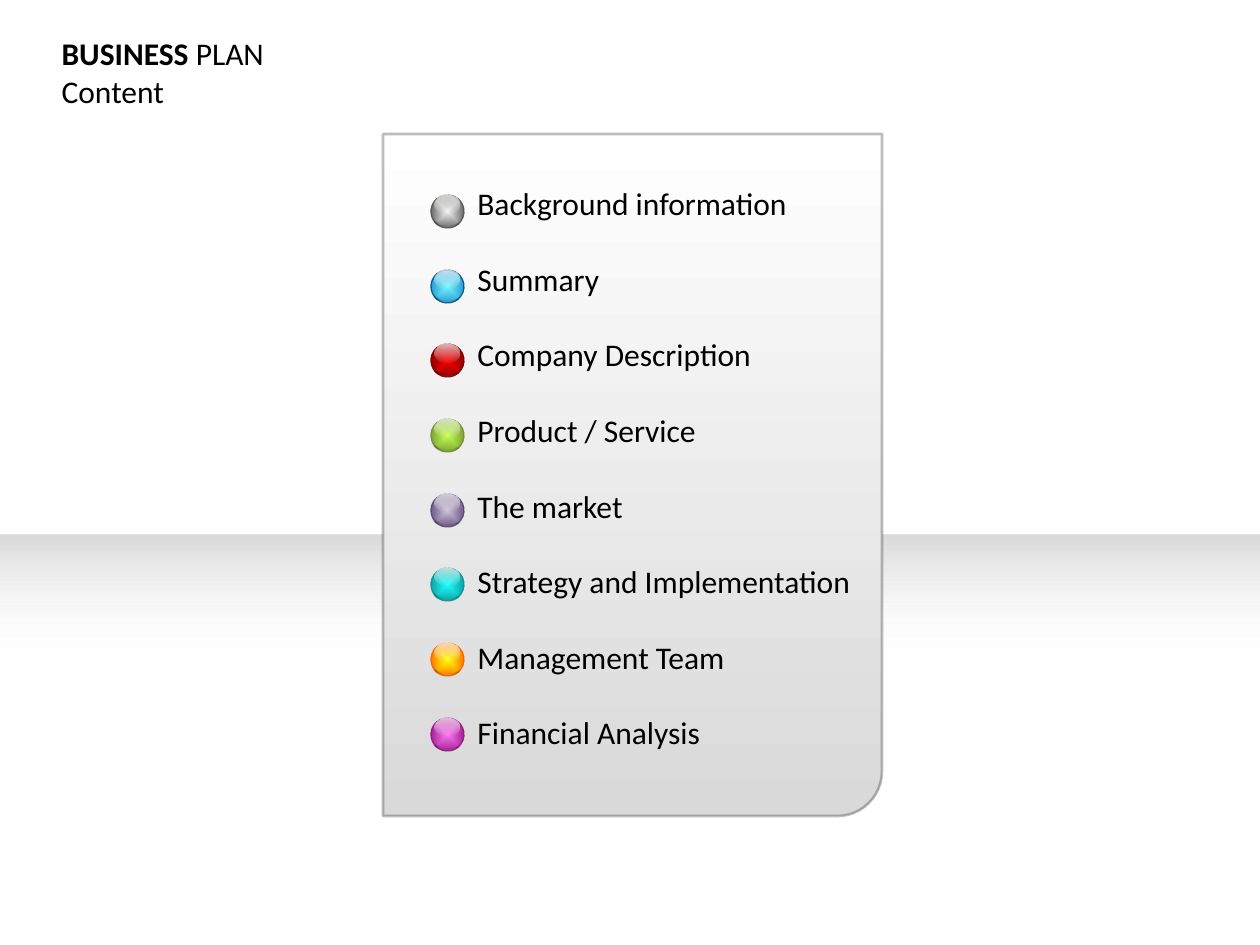
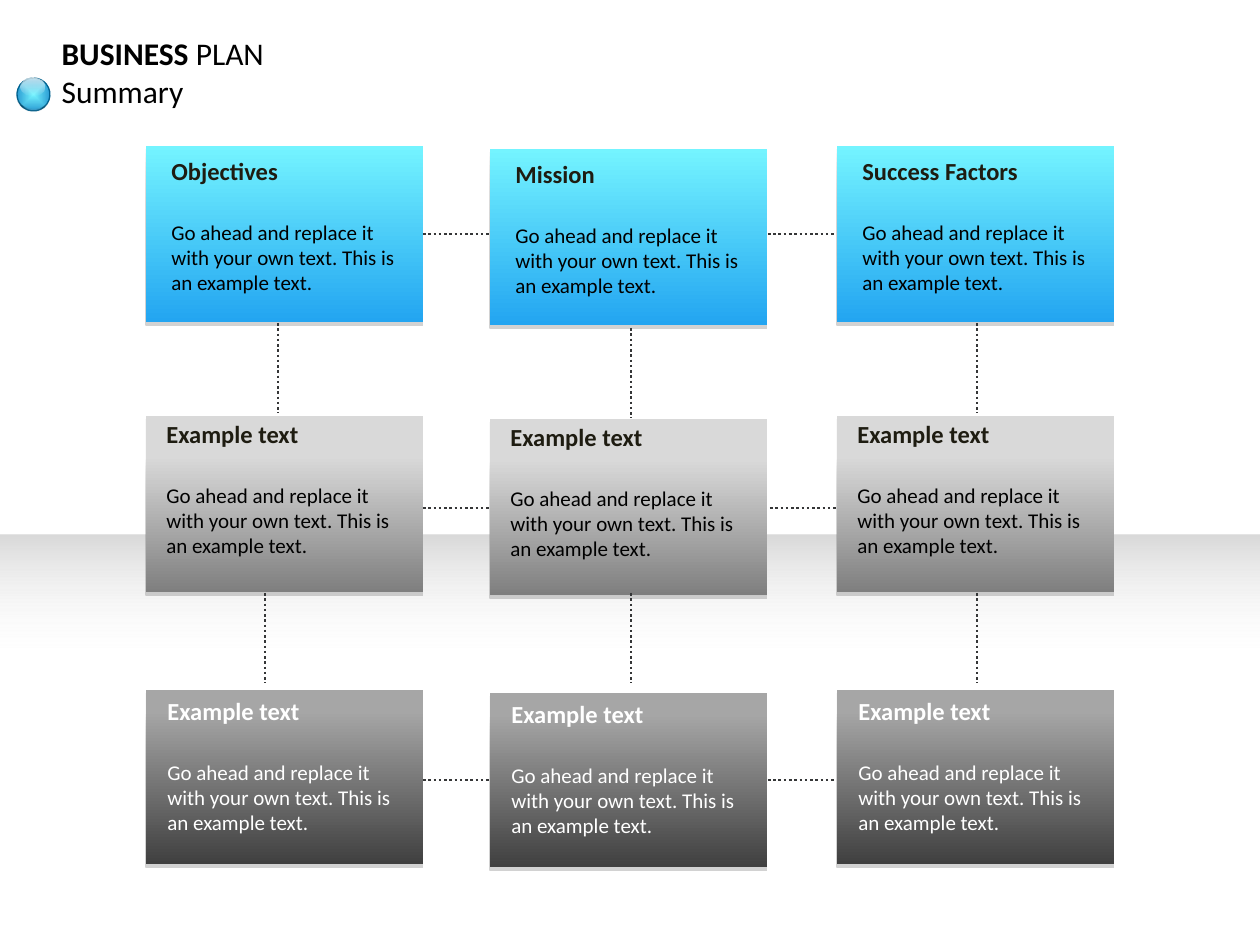
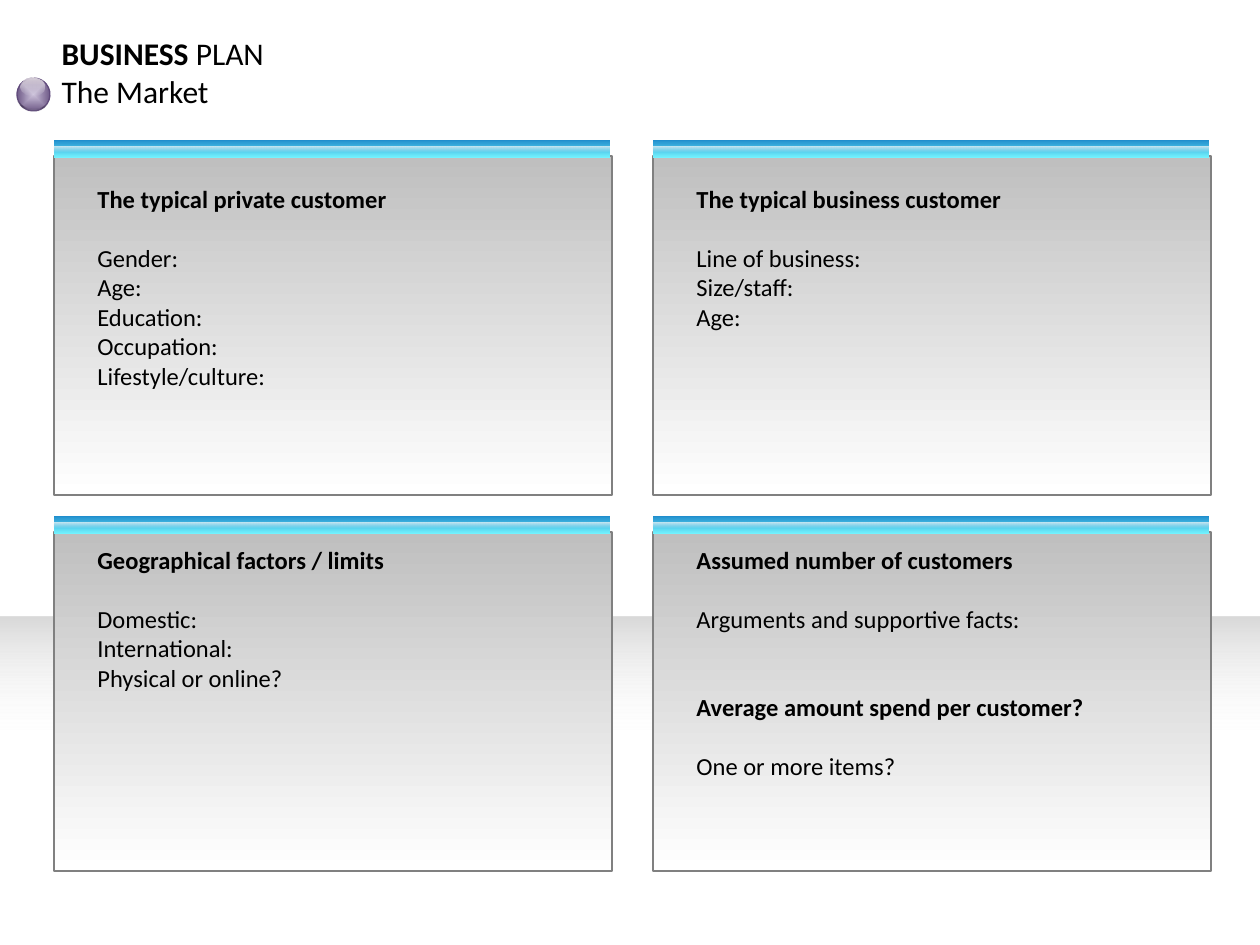
import pptx
import pptx.util
import pptx.dml.color
import pptx.enum.dml
import pptx.enum.shapes
import pptx.enum.text
import pptx.oxml
import pptx.oxml.ns

SCALE = 914400 / 126  # EMU in one pixel
FONT = "Calibri"
COLOURS = {
    "black": "000000", "white": "FFFFFF", "heading": "1E1C11",
    "band": "D9D9D9", "silver": "BFBFBF", "frame": "808080", "edge": "262626",
    "dots": "353637", "cyan": "74F4FF", "sky": "23A5F1", "bar": "208ECD",
    "gloss": "FFFCF9", "bar gloss": "F3F3F3", "grey": "7F7F7F",
    "mid grey": "A6A6A6", "dark grey": "404040",
}
# Centre, rim and outline of each ball
BALLS = {
    "Background information": ("F2F2F2", "595959", "595959"),
    "Summary": ("74F4FF", "208ECD", "00618E"),
    "Company Description": ("FF0000", "800000", "800000"),
    "Product / Service": ("C0FF4D", "769535", "769535"),
    "The market": ("CCC1DA", "604A7B", "604A7B"),
    "Strategy and Implementation": ("1DFDFF", "0C9799", "0C9799"),
    "Management Team": ("FFFF00", "FF6600", "FF6600"),
    "Financial Analysis": ("FB75F2", "991887", "991887"),
}
SHAPE = pptx.enum.shapes.MSO_SHAPE
GROW = pptx.enum.text.MSO_AUTO_SIZE.SHAPE_TO_FIT_TEXT
NAMESPACE = pptx.oxml.ns.nsdecls("a")


def add_gradient_shape(shapes, kind, box, stops, angle=None, line=None, width=0.75, rotation=0):
    """Stops are (percent, colour, opacity); without an angle the gradient runs from the centre."""
    shape = shapes.add_shape(kind, *[round(value * SCALE) for value in box])
    shape.shadow.inherit = False
    shape.rotation = rotation
    stop_xml = "".join(
        f'<a:gs pos="{position * 1000}"><a:srgbClr val="{COLOURS.get(colour, colour)}">'
        f'<a:alpha val="{opacity * 1000}"/></a:srgbClr></a:gs>'
        for position, colour, opacity in stops)
    direction = (
        '<a:path path="shape"><a:fillToRect l="50000" t="50000" r="50000" b="50000"/></a:path>'
        if angle is None else f'<a:lin ang="{angle * 60000}" scaled="0"/>')
    shape.fill.background()
    properties = shape.element.spPr
    properties.replace(properties.find(pptx.oxml.ns.qn("a:noFill")), pptx.oxml.parse_xml(
        f'<a:gradFill {NAMESPACE} rotWithShape="1"><a:gsLst>{stop_xml}</a:gsLst>{direction}</a:gradFill>'))
    if line:
        shape.line.color.rgb = pptx.dml.color.RGBColor.from_string(COLOURS.get(line, line))
        shape.line.width = pptx.util.Pt(width)
    else:
        shape.line.fill.background()
    return shape


def add_text(frame, text, size=18, bold=False, colour="black", gap=0, new_paragraph=True):
    """Gap is the space above, as the point size of the line it stands for."""
    frame.word_wrap = True
    frame.auto_size = GROW
    paragraph = frame.paragraphs[-1]
    if new_paragraph and paragraph.runs:
        paragraph = frame.add_paragraph()
    paragraph.alignment = pptx.enum.text.PP_ALIGN.LEFT
    if gap:
        paragraph.space_before = pptx.util.Pt(round(gap * 1.2, 1))
    run = paragraph.add_run()
    run.text = text
    run.font.name = FONT
    run.font.size = pptx.util.Pt(size)
    run.font.bold = bold
    run.font.color.rgb = pptx.dml.color.RGBColor.from_string(COLOURS[colour])


presentation = pptx.Presentation()
presentation.slide_width = round(1260 * SCALE)
presentation.slide_height = round(945 * SCALE)

# Shared band and title
slides = []
for subtitle, band_top in (("Content", 535), ("Summary", 535), ("The Market", 617)):
    slide = presentation.slides.add_slide(presentation.slide_layouts[5])
    slides.append(slide)
    add_gradient_shape(slide.shapes, SHAPE.RECTANGLE, (0, band_top, 1260, 328),
                       [(61, "white", 0), (100, "band", 100)], 270)
    title = slide.shapes.title
    title.left, title.top, title.width, title.height = [
        round(value * SCALE) for value in (49, 28, 236, 89)]
    title.text_frame.vertical_anchor = pptx.enum.text.MSO_ANCHOR.TOP
    add_text(title.text_frame, "BUSINESS", bold=True)
    add_text(title.text_frame, " PLAN", new_paragraph=False)
    add_text(title.text_frame, subtitle)
content, summary, market = slides

# Content: panel and list
panel = add_gradient_shape(content.shapes, SHAPE.ROUND_1_RECTANGLE, (383, 134, 499, 682),
                           [(0, "white", 100), (100, "band", 100)], 270, "edge", 1.5, 180)
panel.adjustments[0] = 0.09
panel.element.spPr.xfrm.set("flipH", "1")
line_colour = panel.line._ln.find(".//" + pptx.oxml.ns.qn("a:srgbClr"))
line_colour.append(pptx.oxml.parse_xml(f'<a:alpha {NAMESPACE} val="30000"/>'))
list_box = content.shapes.add_textbox(*[round(value * SCALE) for value in (465, 178, 413, 586)])
for number, topic in enumerate(BALLS):
    add_text(list_box.text_frame, topic, gap=18 if number else 0)

# Summary: three by three boxes
EXAMPLE = "Go ahead and replace it with your own text. This is an example text."
rows = [
    # top, height, text offset, stops, heading colour, body colour, headings
    (146, 176, (13, 4), [(0, "cyan", 100), (100, "sky", 100)],
     "heading", "black", ("Objectives", "Mission", "Success Factors")),
    (416, 176, (8, -3), [(0, "band", 100), (23, "band", 100), (100, "grey", 100)],
     "heading", "black", ("Example text",) * 3),
    (690, 174, (9, 0), [(0, "mid grey", 100), (12, "mid grey", 100), (100, "dark grey", 100)],
     "white", "white", ("Example text",) * 3),
]
for row_top, height, (text_x, text_y), stops, heading_colour, body_colour, headings in rows:
    for left, drop, heading in zip((146, 490, 837), (0, 3, 0), headings):
        top = row_top + drop
        card = add_gradient_shape(summary.shapes, SHAPE.RECTANGLE, (left, top, 277, height), stops, 90)
        effects = card.element.spPr.find(pptx.oxml.ns.qn("a:effectLst"))
        effects.append(pptx.oxml.parse_xml(
            f'<a:outerShdw {NAMESPACE} blurRad="0" dist="22860" dir="5400000" rotWithShape="0">'
            f'<a:srgbClr val="{COLOURS["frame"]}"><a:alpha val="35000"/></a:srgbClr></a:outerShdw>'))
        card_text = summary.shapes.add_textbox(
            *[round(value * SCALE) for value in (left + text_x, top + text_y, 253, 156)])
        add_text(card_text.text_frame, heading, 14, True, heading_colour)
        add_text(card_text.text_frame, EXAMPLE, 12, colour=body_colour, gap=16)

# Summary: dotted links, across and down
links = []
for y, right_start in ((234, 768), (508, 770), (780, 768)):
    links += [(423, y, 490, y), (right_start, y, right_start + 66, y)]
for x, top in ((278, 323), (631, 328), (977, 323), (265, 593), (631, 593), (977, 593)):
    links.append((x, top, x, top + 90))
for ends in links:
    link = summary.shapes.add_connector(pptx.enum.shapes.MSO_CONNECTOR.STRAIGHT,
                                        *[round(value * SCALE) for value in ends])
    link.line.color.rgb = pptx.dml.color.RGBColor.from_string(COLOURS["dots"])
    link.line.width = pptx.util.Pt(1.5)
    link.line.dash_style = pptx.enum.dml.MSO_LINE.ROUND_DOT
    link.element.spPr.append(pptx.oxml.parse_xml(f"<a:effectLst {NAMESPACE}/>"))

# Market: two by two panels; each line is text, bold, gap above
panels = [
    (38, 251, [("The typical private customer", True, 0), ("Gender:", False, 14), ("Age:", False, 0),
               ("Education:", False, 0), ("Occupation:", False, 0), ("Lifestyle/culture:", False, 0)]),
    (38, 220, [("The typical business customer", True, 0), ("Line of business:", False, 14),
               ("Size/staff:", False, 0), ("Age:", False, 0)]),
    (23, 161, [("Geographical factors / limits", True, 0), ("Domestic:", False, 14),
               ("International:", False, 0), ("Physical or online?", False, 0)]),
    (23, 280, [("Assumed number of customers", True, 0), ("Arguments and supportive facts:", False, 14),
               ("Average amount spend per customer?", True, 28), ("One or more items?", False, 14)]),
]
for number, (text_y, text_height, lines) in enumerate(panels):
    left = 54 + number % 2 * 599
    top = 140 + number // 2 * 376
    group = market.shapes.add_group_shape()
    add_gradient_shape(group.shapes, SHAPE.RECTANGLE, (left, top + 16, 558, 339),
                       [(0, "white", 100), (100, "silver", 100)], 270, "frame")
    add_gradient_shape(group.shapes, SHAPE.RECTANGLE, (left, top, 556, 18),
                       [(0, "cyan", 100), (100, "bar", 100)], 270)
    add_gradient_shape(group.shapes, SHAPE.RECTANGLE, (left, top + 7, 556, 5),
                       [(0, "bar gloss", 0), (100, "gloss", 79)], 270)
    panel_text = market.shapes.add_textbox(
        *[round(value * SCALE) for value in (left + 31, top + text_y, 461, text_height)])
    for text, bold, gap in lines:
        add_text(panel_text.text_frame, text, 14, bold, gap=gap)

# Glossy balls: beside the list and beside two titles
balls = [(content, topic, 431, round(195 + 74.7 * number)) for number, topic in enumerate(BALLS)]
balls += [(summary, "Summary", 17, 78), (market, "The market", 17, 78)]
for slide, topic, left, top in balls:
    centre, rim, outline = BALLS[topic]
    group = slide.shapes.add_group_shape()
    add_gradient_shape(group.shapes, SHAPE.OVAL, (left, top, 33, 33),
                       [(0, centre, 100), (100, rim, 100)], line=outline, rotation=350.9)
    add_gradient_shape(group.shapes, SHAPE.OVAL, (left + 4, top, 24, 18),
                       [(0, "white", 0), (100, "gloss", 77)], 270)
    shade = add_gradient_shape(group.shapes, SHAPE.MOON, (left + 8, top + 9, 15, 33),
                               [(24, "black", 24), (100, "white", 0)], rotation=275.9)
    shade.adjustments[0] = 0.19

presentation.save("out.pptx")
